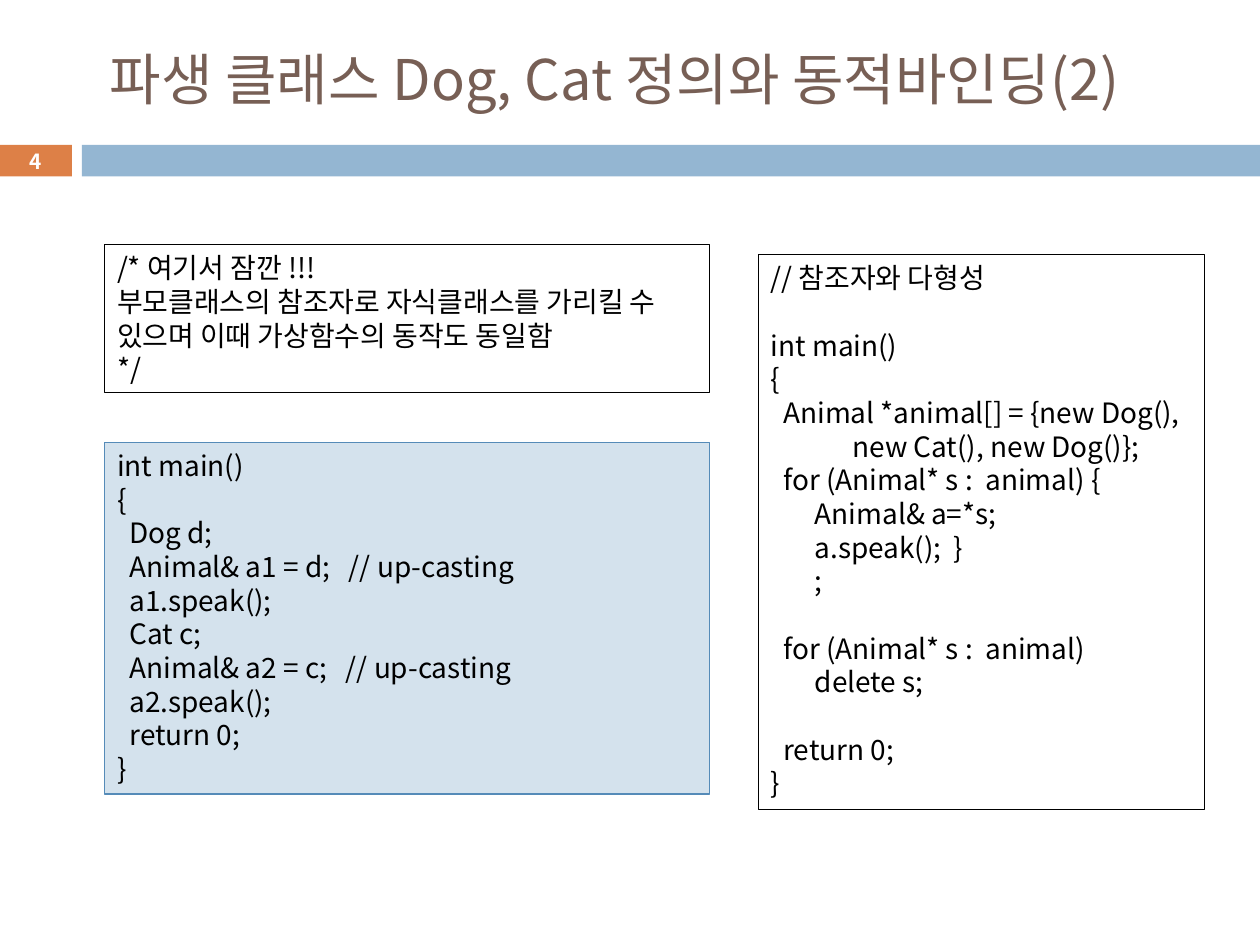
from pptx import Presentation
from pptx import util as u
from pptx.dml.color import RGBColor
from pptx.enum import shapes, text
from pptx.oxml.ns import qn
from lxml import etree

Pt = u.Pt
FONT = "Noto Sans CJK KR"
COLORS = {"title": "775F55", "orange": "DD8047", "band": "94B6D2", "white": "FFFFFF",
          "black": "000000", "code_fill": "D4E2ED", "code_line": "558BB8"}
LINE = 19.25  # code line pitch
SPACE = 3.6  # width of one indent column

prs = Presentation()
prs.slide_width, prs.slide_height = Pt(720), Pt(540)
s = prs.slides.add_slide(prs.slide_layouts[6])


def add_box(x, y, w, h, fill=None, line=None):
    sp = s.shapes.add_shape(shapes.MSO_SHAPE.RECTANGLE, Pt(x), Pt(y), Pt(w), Pt(h))
    sp.shadow.inherit = False
    if fill:
        sp.fill.solid()
        sp.fill.fore_color.rgb = RGBColor.from_string(COLORS[fill])
    else:
        sp.fill.background()
    if line:
        sp.line.color.rgb = RGBColor.from_string(COLORS[line])
        sp.line.width = Pt(0.75)
    else:
        sp.line.fill.background()
    return sp


def add_run(p, words, size, color, bold=False):
    r = p.add_run()
    r.text = words
    r.font.size, r.font.bold, r.font.name = Pt(size), bold, FONT
    r.font.color.rgb = RGBColor.from_string(COLORS[color])
    etree.SubElement(r.font._element, qn("a:ea")).set("typeface", FONT)


# Header band and slide number
add_box(46.8, 82.8, 673.2, 18, "band")
number = add_box(-0.7, 82.8, 41.8, 18, "orange")
tf = number.text_frame
tf.margin_top = tf.margin_bottom = 0
tf.vertical_anchor = text.MSO_ANCHOR.MIDDLE
p = tf.paragraphs[0]
p.alignment = text.PP_ALIGN.CENTER
add_run(p, "4", 11.9, "white", True)

# Title
title = s.shapes.add_textbox(Pt(48.2), Pt(18), Pt(657.4), Pt(53.3))
tf = title.text_frame
tf.word_wrap = True
tf.margin_left = Pt(14.4)
tf.vertical_anchor = text.MSO_ANCHOR.MIDDLE
add_run(tf.paragraphs[0], "파생 클래스 Dog, Cat 정의와 동적바인딩(2)", 32, "title")

# Code boxes: each line is (indent columns, blank lines above, words)
upcasting = [
    (0, 0, "int main()"), (0, 0, "{"), (2, 0, "Dog d;"),
    (2, 0, "Animal& a1 = d;   // up-casting"), (2, 0, "a1.speak();"),
    (2, 0, "Cat c;"), (2, 0, "Animal& a2 = c;   // up-casting"),
    (2, 0, "a2.speak();"), (2, 0, "return 0;"), (0, 0, "}")]
remark = [
    (0, 0, "/* 여기서 잠깐 !!!"),
    (0, 0, "부모클래스의 참조자로 자식클래스를 가리킬 수 있으며 이때 가상함수의 동작도 동일함"),
    (0, 0, "*/")]
references = [
    (0, 0, "// 참조자와 다형성"), (0, 1, "int main()"), (0, 0, "{"),
    (2, 0, "Animal *animal[] = {new Dog(),"), (13, 0, "new Cat(), new Dog()};"),
    (2, 0, "for (Animal* s :  animal) {"), (7, 0, "Animal& a=*s;"),
    (7, 0, "a.speak();  }"), (7, 0, ";"), (2, 1, "for (Animal* s :  animal)"),
    (7, 0, "delete s;"), (2, 1, "return 0;"), (0, 0, "}")]

for x, y, w, h, fill, line, rows in [
        (59.8, 252.7, 345.6, 201, "code_fill", "code_line", upcasting),
        (59.8, 139.7, 345.6, 84.7, None, "black", remark),
        (433.4, 145.4, 254.9, 317.2, None, "black", references)]:
    tf = add_box(x, y, w, h, fill, line).text_frame
    tf.word_wrap = True
    tf.vertical_anchor = text.MSO_ANCHOR.TOP
    for i, (columns, blanks, words) in enumerate(rows):
        p = tf.add_paragraph() if i else tf.paragraphs[0]
        p.alignment = text.PP_ALIGN.LEFT
        p.line_spacing = Pt(LINE)
        p.space_before = Pt(blanks * LINE)
        p._p.get_or_add_pPr().set("marL", str(Pt(columns * SPACE)))
        add_run(p, words, 16, "black")

prs.save("out.pptx")
